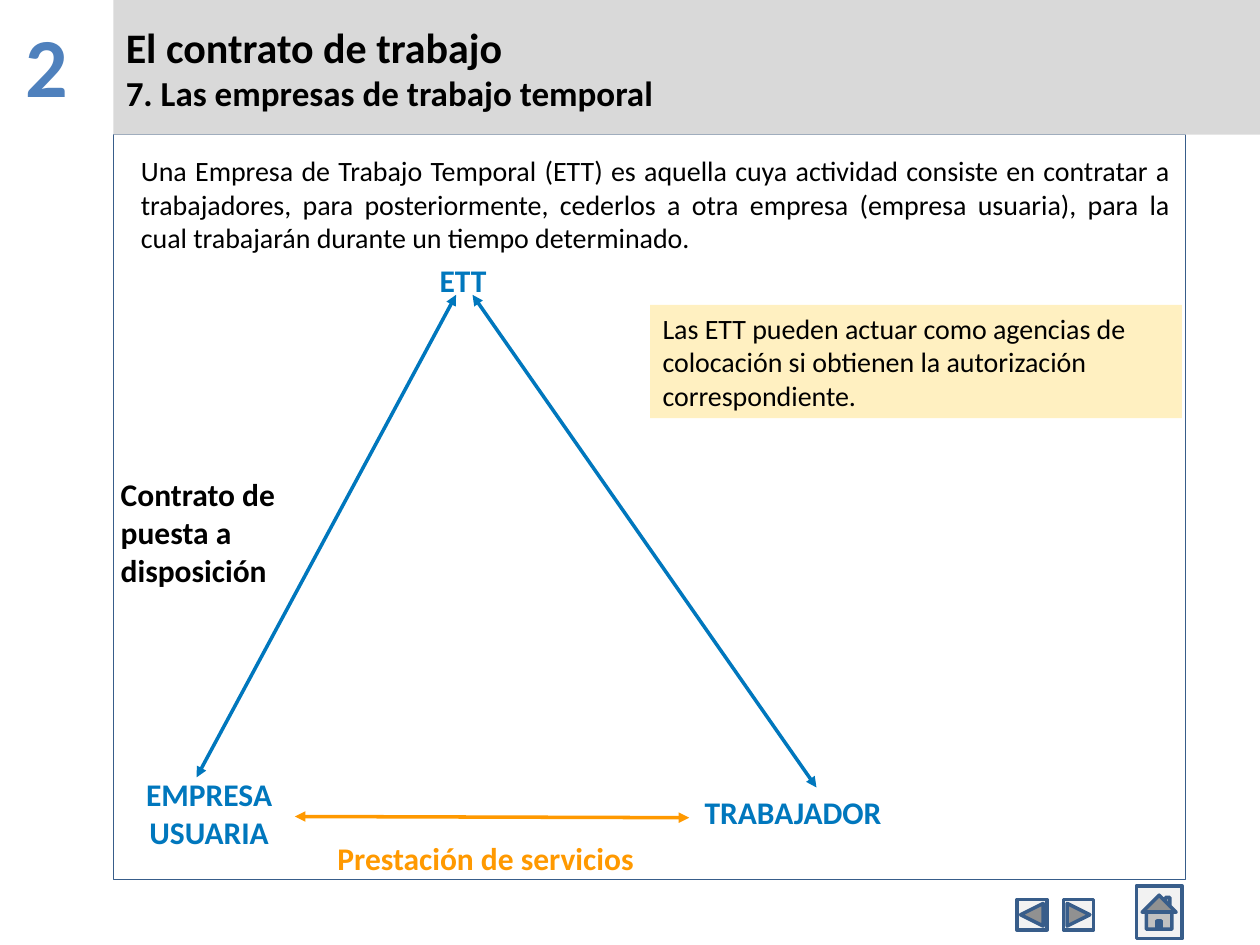
from lxml.etree import SubElement
from pptx import Presentation
from pptx.dml.color import RGBColor
from pptx.enum.shapes import MSO_CONNECTOR, MSO_SHAPE as SHAPE
from pptx.enum.text import MSO_ANCHOR as ANCHOR, PP_ALIGN as ALIGN
from pptx.oxml.ns import qn
from pptx.util import Inches, Pt

COLORS = {
    "black": "000000", "number": "4F81BD", "blue": "0077BD", "orange": "FF9900",
    "border": "385D8A", "band": "D9D9D9", "note": "FFF0C1", "button": "F2F2F2",
}

# Content: boxes are left, top, width, height in inches
UNIT_NUMBER = "2"
HEADING = [("El contrato de trabajo", 24), ("7. Las empresas de trabajo temporal", 20)]
DEFINITION = (
    "Una Empresa de Trabajo Temporal (ETT) es aquella cuya actividad consiste en "
    "contratar a trabajadores, para posteriormente, cederlos a otra empresa "
    "(empresa usuaria), para la cual trabajarán durante un tiempo determinado."
)
NOTE = ("Las ETT pueden actuar como agencias de colocación si obtienen la "
        "autorización correspondiente.")
LABELS = [  # text, box, color, alignment, wrap
    ("Contrato de puesta a disposición", (0.86, 3.75, 1.99, 0.94), "black", ALIGN.LEFT, True),
    ("ETT", (3.13, 1.95, 1.09, 0.55), "blue", ALIGN.CENTER, False),
    ("TRABAJADOR", (5.31, 6.17, 1.97, 0.55), "blue", ALIGN.CENTER, False),
    ("EMPRESA USUARIA", (0.78, 6.1, 1.76, 0.7), "blue", ALIGN.CENTER, True),
    ("Prestación de servicios", (2.58, 6.56, 3.23, 0.5), "orange", ALIGN.LEFT, True),
]
RELATIONS = [  # start, end, color
    ((2.34, 6.48), (5.47, 6.49), "orange"),
    ((1.56, 6.17), (3.62, 2.34), "blue"),
    ((6.48, 6.25), (3.75, 2.34), "blue"),
]
BUTTONS = [
    (SHAPE.ACTION_BUTTON_BACK_OR_PREVIOUS, (8.07, 7.14, 0.24, 0.24)),
    (SHAPE.ACTION_BUTTON_FORWARD_OR_NEXT, (8.44, 7.14, 0.24, 0.24)),
    (SHAPE.ACTION_BUTTON_HOME, (9.02, 7.03, 0.36, 0.42)),
]

prs = Presentation()
prs.slide_width, prs.slide_height = Inches(10), Inches(7.5)
slide = prs.slides.add_slide(prs.slide_layouts[6])


def rgb(name):
    return RGBColor.from_string(COLORS[name])


def add_panel(kind, box, fill=None, line=None, width=0.75):
    panel = slide.shapes.add_shape(kind, *map(Inches, box))
    panel.shadow.inherit = False
    if fill:
        panel.fill.solid()
        panel.fill.fore_color.rgb = rgb(fill)
    else:
        panel.fill.background()
    if line:
        panel.line.color.rgb = rgb(line)
        panel.line.width = Pt(width)
    else:
        panel.line.fill.background()
    return panel


def write(target, lines, color="black", bold=False, align=ALIGN.LEFT,
          anchor=ANCHOR.TOP, wrap=True):
    """Write (text, size) lines into a shape, or into a new text box at a given box."""
    if isinstance(target, tuple):
        target = slide.shapes.add_textbox(*map(Inches, target))
    frame = target.text_frame
    frame.word_wrap = wrap
    frame.vertical_anchor = anchor
    for i, (text, size) in enumerate(lines):
        paragraph = frame.paragraphs[0] if i == 0 else frame.add_paragraph()
        paragraph.alignment = align
        run = paragraph.add_run()
        run.text = text
        run.font.name = "Calibri"
        run.font.size = Pt(size)
        run.font.bold = bold
        run.font.color.rgb = rgb(color)


def add_double_arrow(start, end, color):
    arrow = slide.shapes.add_connector(
        MSO_CONNECTOR.STRAIGHT, *map(Inches, start + end))
    arrow.line.color.rgb = rgb(color)
    arrow.line.width = Pt(2)
    for tip in ("a:headEnd", "a:tailEnd"):
        SubElement(arrow.line._get_or_add_ln(), qn(tip), type="triangle")
    SubElement(arrow._element.spPr, qn("a:effectLst"))


# Header and content frame
write((0, 0.06, 0.74, 0.94), [(UNIT_NUMBER, 48)], color="number", bold=True,
      align=ALIGN.CENTER)
add_panel(SHAPE.RECTANGLE, (0.9, 1.07, 8.51, 5.91), line="border")
header = add_panel(SHAPE.RECTANGLE, (0.9, 0, 9.1, 1.07), fill="band")
write(header, HEADING, bold=True, anchor=ANCHOR.MIDDLE)

# Navigation buttons
for kind, box in BUTTONS:
    add_panel(kind, box, fill="button", line="border", width=2)

# Definition
write((1.02, 1.17, 8.37, 0.94), [(DEFINITION, 16)], align=ALIGN.JUSTIFY)

# Triangle of relations
for text, box, color, align, wrap in LABELS:
    write(box, [(text, 18)], color=color, bold=True, align=align,
          anchor=ANCHOR.MIDDLE, wrap=wrap)
for start, end, color in RELATIONS:
    add_double_arrow(start, end, color)

# Side note
note = add_panel(SHAPE.RECTANGLE, (5.16, 2.42, 4.22, 0.9), fill="note")
write(note, [(NOTE, 16)])

prs.save("out.pptx")
